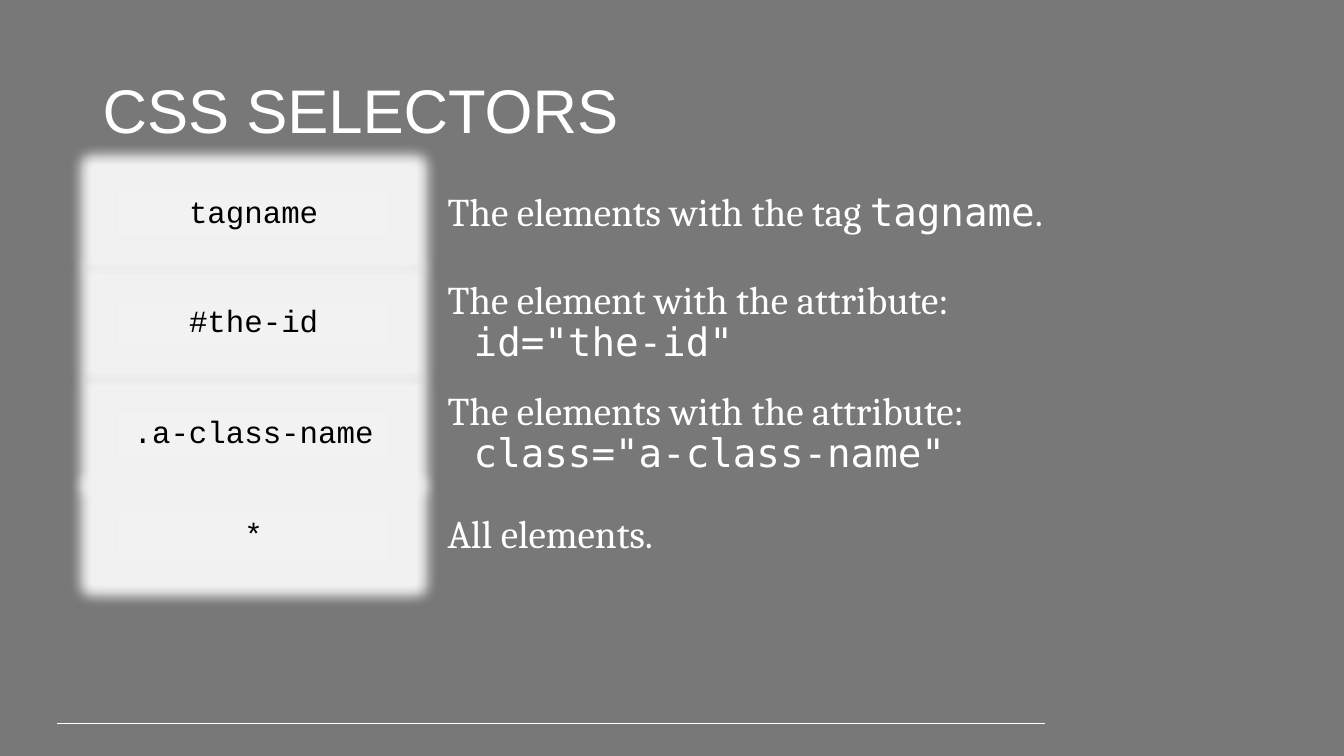
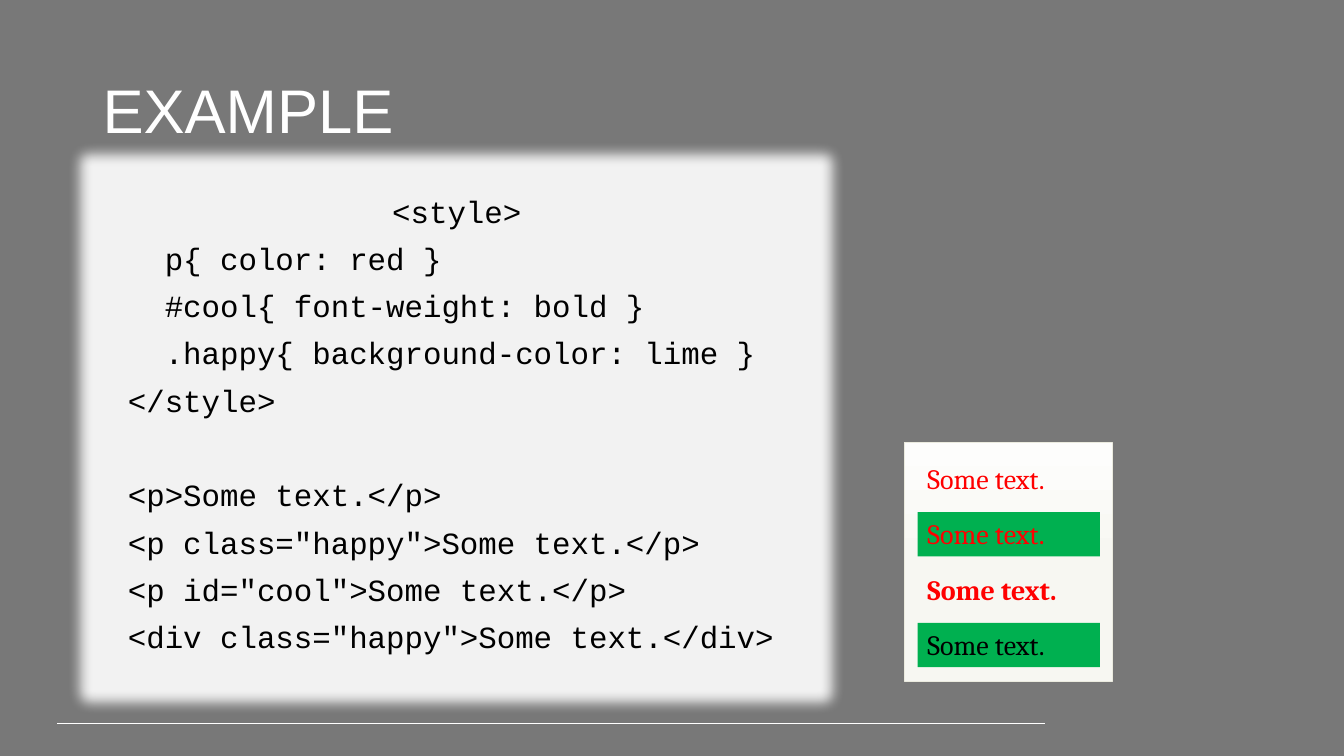
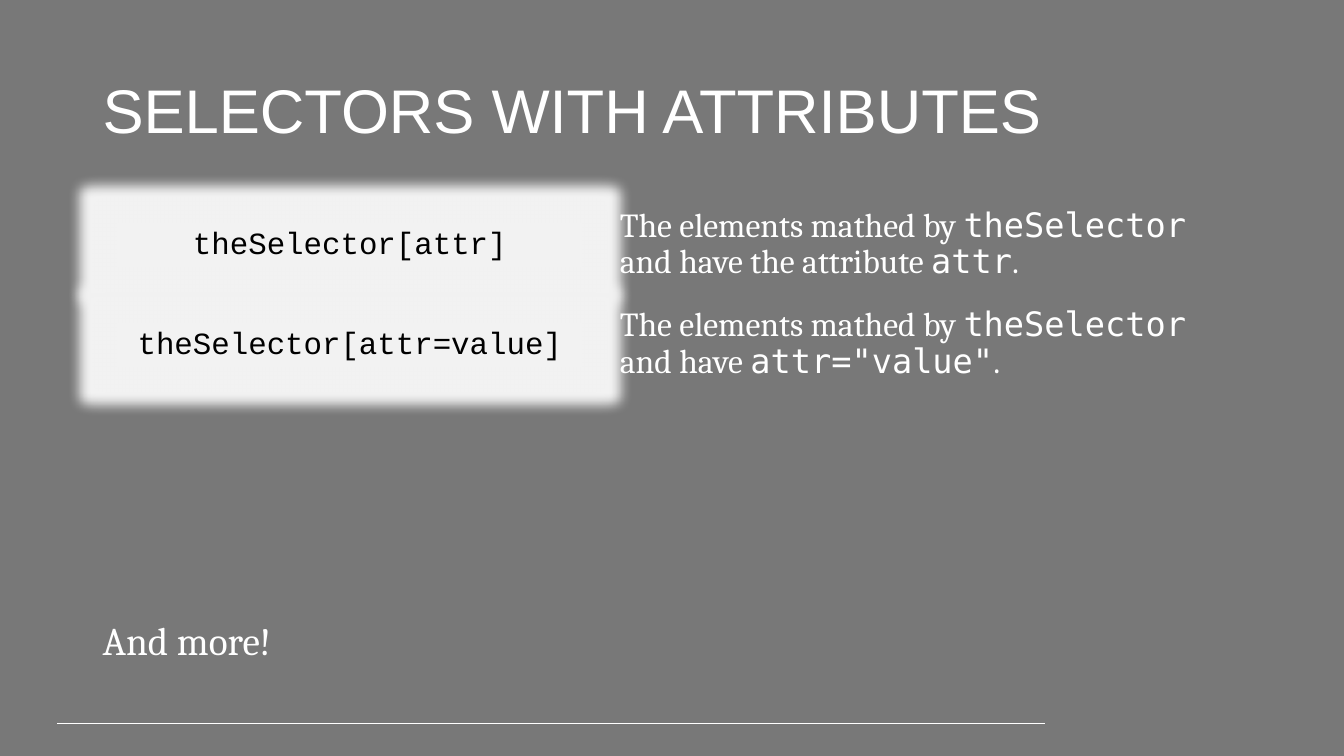
from collections import namedtuple
from copy import deepcopy

from pptx import Presentation
from pptx.dml.color import RGBColor
from pptx.enum.shapes import MSO_CONNECTOR, MSO_SHAPE
from pptx.enum.text import MSO_ANCHOR
from pptx.oxml.ns import qn
from pptx.util import Inches, Pt
from lxml import etree

RECTANGLE = MSO_SHAPE.RECTANGLE
STRAIGHT = MSO_CONNECTOR.STRAIGHT
TOP, MIDDLE = MSO_ANCHOR.TOP, MSO_ANCHOR.MIDDLE

WIDTH, HEIGHT = 13.33, 7.5
BLANK_LAYOUT = 6
GREY, WHITE, BLACK, PANEL = "787878", "FFFFFF", "000000", "F2F2F2"
RED, GREEN = "FF0000", "00B050"
PAPER_STOPS = [(0, "FDFDFC"), (0.5, "F7F7F2"), (1, "F6F6F0")]
PAPER_EDGE = "EBEBDF"
HEADING, PROSE, CODE, INLINE = "Arial", "Cambria", "Courier New", "DejaVu Sans Mono"
TIGHT = 0.9
CODE_SIZE, CODE_GAP, CODE_BLANK_LINE = 22, 10, 34
GLOW = 0.25
CARD_HEIGHT = 0.44
INSETS = 0.1
HANGING = 0.26

Box = namedtuple("Box", "left top width height")
TITLE_BOX = Box(0.92, 0.4, 11.5, 1.45)


def rgb(color):
    return RGBColor.from_string(color)


def lengths(box):
    return [Inches(value) for value in box]


def add_span(para, text, font, size, color, bold=False):
    span = para.add_run()
    span.text = text
    span.font.name = font
    span.font.size = Pt(size)
    span.font.color.rgb = rgb(color)
    span.font.bold = bold


def add_text(page, box, anchor=TOP):
    """Add an empty text box and return its first paragraph."""
    frame = page.shapes.add_textbox(*lengths(box)).text_frame
    frame.word_wrap = True
    frame.vertical_anchor = anchor
    return frame.paragraphs[0]


def add_rectangle(page, box):
    shape = page.shapes.add_shape(RECTANGLE, *lengths(box))
    shape.shadow.inherit = False
    shape.line.fill.background()
    shape.text_frame.word_wrap = True
    shape.text_frame.vertical_anchor = TOP
    return shape


def fill_solid(shape, color):
    shape.fill.solid()
    shape.fill.fore_color.rgb = rgb(color)


def add_glow(shape, color):
    effects = shape._element.spPr.find(qn("a:effectLst"))
    glow = etree.SubElement(effects, qn("a:glow"), rad=str(Inches(GLOW)))
    etree.SubElement(glow, qn("a:srgbClr"), val=color)


def add_page(deck, title):
    page = deck.slides.add_slide(deck.slide_layouts[BLANK_LAYOUT])
    rule = page.shapes.add_connector(STRAIGHT, *lengths((0.57, 7.18, 10.36, 7.18)))
    rule.line.color.rgb = rgb(WHITE)
    rule.line.width = Pt(0.75)
    etree.SubElement(rule._element.spPr, qn("a:effectLst"))
    para = add_text(page, TITLE_BOX, MIDDLE)
    para.line_spacing = TIGHT
    add_span(para, title, HEADING, 44, WHITE)
    return page


def add_code(page, box, lines):
    """Draw a glowing code panel; an empty line becomes space before the next."""
    panel = add_rectangle(page, box)
    fill_solid(panel, PANEL)
    add_glow(panel, PANEL)
    para, gap = panel.text_frame.paragraphs[0], 0
    for index, line in enumerate(lines):
        if not line:
            gap += CODE_BLANK_LINE
            continue
        if index:
            para = panel.text_frame.add_paragraph()
        para.line_spacing = TIGHT
        para.space_before = Pt(gap)
        add_span(para, line, CODE, CODE_SIZE, BLACK)
        gap = CODE_GAP


def add_prose(page, box, parts, size):
    """Write parts in turn as prose and inline code; None breaks the line."""
    para = add_text(page, box)
    para.line_spacing = TIGHT
    if None in parts:
        properties = para._p.get_or_add_pPr()
        properties.set("marL", str(Inches(HANGING)))
        properties.set("indent", str(-Inches(HANGING)))
    fonts = [PROSE, INLINE]
    for index, part in enumerate(part for part in parts if part is not None):
        if index == 1 and None in parts:
            para.add_line_break()
        add_span(para, part, fonts[index % 2], size, WHITE)


def add_selector_row(page, box, split, selector, parts, size, line_count):
    """Centre a selector card and, from split on, its meaning in the row."""
    middle = box.top + box.height / 2
    card_width = split[0]
    add_code(page, Box(box.left, middle - CARD_HEIGHT / 2, card_width, CARD_HEIGHT), [selector])
    text_height = line_count * size * TIGHT * 1.22 / 72 + INSETS
    add_prose(page, Box(box.left + split[1], middle - text_height / 2,
                        box.width - split[1], text_height), parts, size)


def add_result(page, box):
    """Show the rendered example: four lines on a sheet of paper."""
    sheet = add_rectangle(page, box)
    sheet.fill.gradient()
    sheet.fill.gradient_angle = 270
    stops = sheet._element.spPr.find(".//" + qn("a:gsLst"))
    stops.insert(1, deepcopy(stops[0]))
    for stop, (position, color) in zip(sheet.fill.gradient_stops, PAPER_STOPS):
        stop.position = position
        stop.color.rgb = rgb(color)
    sheet.line.color.rgb = rgb(PAPER_EDGE)
    sheet.line.width = Pt(0.5)

    looks = [(RED, False, False), (RED, True, False), (RED, False, True), (BLACK, True, False)]
    for index, (color, happy, cool) in enumerate(looks):
        line_box = Box(box.left + 0.13, box.top + 0.14 + 0.55 * index, 1.81, 0.44)
        if happy:
            band = add_rectangle(page, line_box)
            fill_solid(band, GREEN)
            para = band.text_frame.paragraphs[0]
            para.alignment = None
        else:
            para = add_text(page, line_box)
        add_span(para, "Some text.", PROSE, 20, color, cool)


def selectors_page(deck):
    page = add_page(deck, "CSS SELECTORS")
    rows = [
        (1.62, "tagname", ["The elements with the tag ", "tagname", "."], 1),
        (2.71, "#the-id", ["The element with the attribute:", None, 'id="the-id"'], 2),
        (3.81, ".a-class-name",
         ["The elements with the attribute:", None, 'class="a-class-name"'], 2),
        (4.82, "*", ["All elements."], 1),
    ]
    for top, selector, parts, line_count in rows:
        add_selector_row(page, Box(1.17, top, 11.25, 1), (2.69, 3.17),
                         selector, parts, 28, line_count)


def example_page(deck):
    page = add_page(deck, "EXAMPLE")
    add_code(page, Box(1.17, 1.9, 6.72, 4.7), [
        "<style>",
        "  p{ color: red }",
        "  #cool{ font-weight: bold }",
        "  .happy{ background-color: lime }",
        "</style>",
        "",
        "<p>Some text.</p>",
        '<p class="happy">Some text.</p>',
        '<p id="cool">Some text.</p>',
        '<div class="happy">Some text.</div>',
    ])
    add_result(page, Box(8.97, 4.39, 2.06, 2.37))


def attributes_page(deck):
    page = add_page(deck, "SELECTORS WITH ATTRIBUTES")
    opening = ["The elements mathed by ", "theSelector"]
    rows = [
        ("theSelector[attr]", [" and have the attribute ", "attr", "."]),
        ("theSelector[attr=value]", [" and have ", 'attr="value"', "."]),
    ]
    for index, (selector, ending) in enumerate(rows):
        add_selector_row(page, Box(1.16, 1.93 + 0.99 * index, 11.2, 1), (4.62, 4.89),
                         selector, opening + ending, 24, 2)
    add_prose(page, Box(TITLE_BOX.left, 6.12, TITLE_BOX.width, 0.53), ["And more!"], 28)


def main():
    deck = Presentation()
    deck.slide_width, deck.slide_height = lengths((WIDTH, HEIGHT))
    background = deck.slide_master.background.fill
    background.solid()
    background.fore_color.rgb = rgb(GREY)
    selectors_page(deck)
    example_page(deck)
    attributes_page(deck)
    deck.save("out.pptx")


if __name__ == "__main__":
    main()
